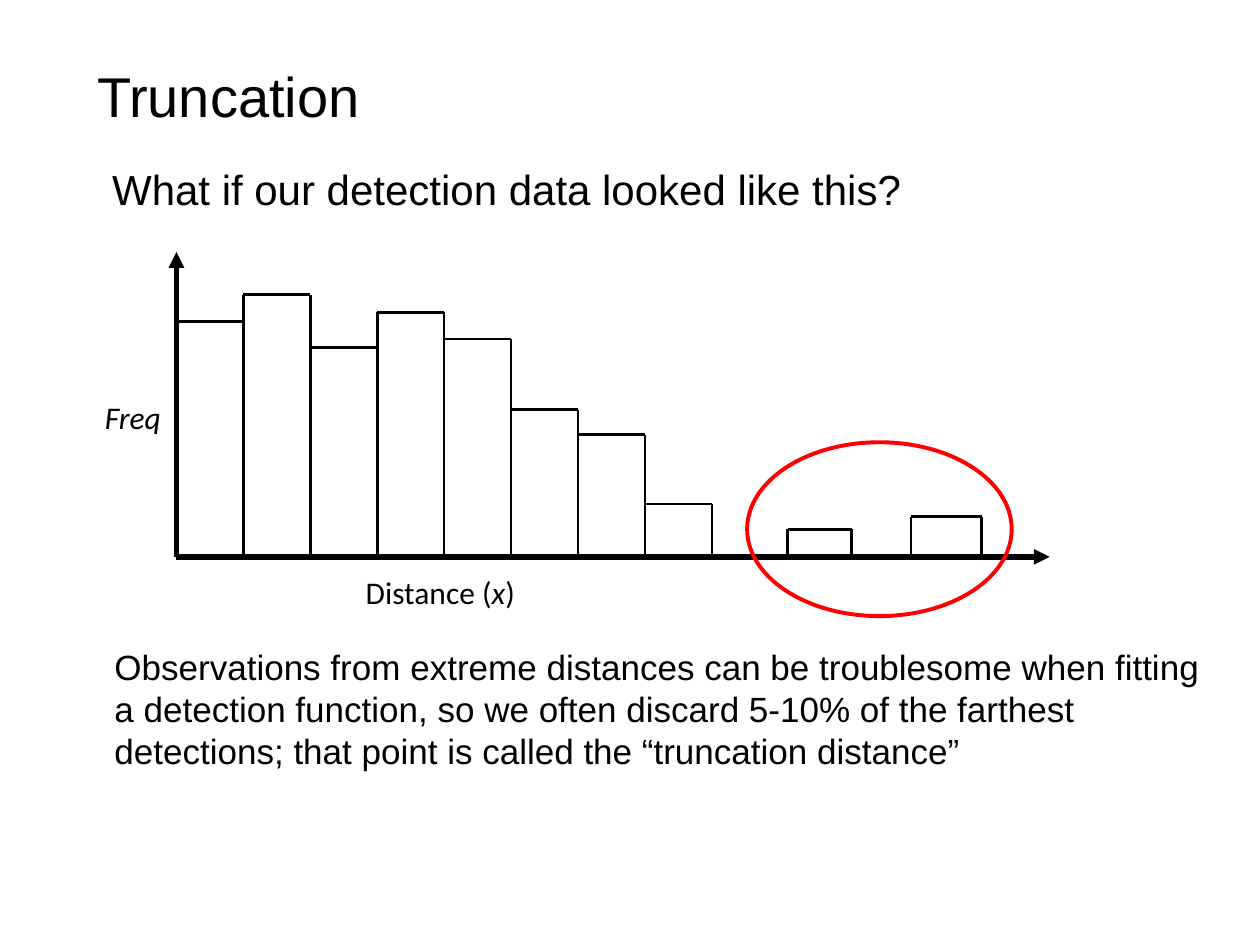
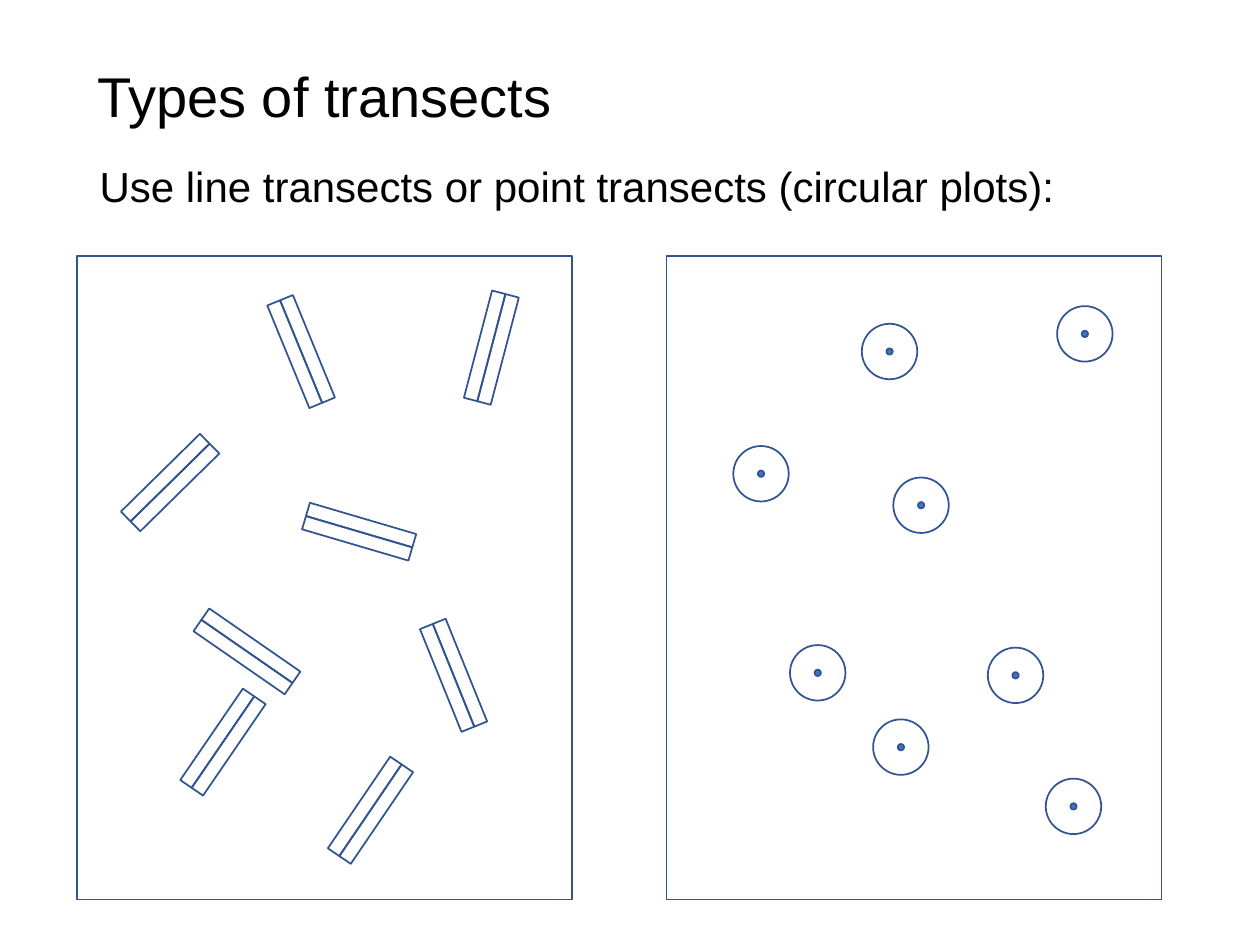
from math import cos, radians, sin

from pptx import Presentation
from pptx.dml.color import RGBColor
from pptx.enum.shapes import MSO_CONNECTOR as Connector, MSO_SHAPE as Preset
from pptx.enum.text import MSO_ANCHOR as Anchor, MSO_AUTO_SIZE as AutoSize, PP_ALIGN as Align
from pptx.oxml.ns import qn
from pptx.util import Emu, Pt
from lxml.etree import SubElement

EMU_PER_PX = 9144
BLACK, RED, OUTLINE, DOT = "000000", "FF0000", "325491", "4472C4"
TITLE_BOX = (67, 44, 869, 64)

TRUNCATION = {
    "title": "Truncation",
    "lead": "What if our detection data looked like this?",
    "lead_box": (79, 125, 865, 50),
    "note": "Observations from extreme distances can be troublesome when fitting "
            "a detection function, so we often discard 5-10% of the farthest "
            "detections; that point is called the “truncation distance”",
    "note_box": (81, 507, 885, 111),
}
FREQ_LABEL = [("Freq", True)]
DISTANCE_LABEL = [("Distance (", False), ("x", True), (")", False)]
ORIGIN_X, BASELINE, AXIS_TOP, AXIS_RIGHT = 140, 442, 200, 833
BAR_SPAN = 425
BAR_TOPS = [255, 234, 276, 248, 269, 325, 345, 400]
OUTLIERS = [(625, 676, 420), (723, 779, 410)]
OUTLIER_RING = (593, 351, 210, 138)

TRANSECTS = {
    "title": "Types of transects",
    "lead": "Use line transects or point transects (circular plots):",
    "lead_box": (69, 122, 845, 50),
}
PANEL_LEFTS = [61, 529]
PANEL_TOP, PANEL_WIDTH, PANEL_HEIGHT = 203, 393, 511
STRIP_WIDTH, STRIP_LENGTH = 11, 88
LINE_TRANSECTS = [
    (135, 383, 45.5), (239, 279, 337.7), (285, 422, 106.4), (196, 517, 304.7),
    (177, 589, 34.4), (360, 536, 338), (294, 643, 214.2), (390, 276, 14.7),
]
PLOT_SIZE, DOT_SIZE = 44, 5
POINT_TRANSECTS = [
    (861, 265), (706, 279), (604, 376), (731, 401),
    (649, 534), (715, 593), (806, 536), (852, 640),
]


def px(length):
    return Emu(round(length * EMU_PER_PX))


def color(value):
    return RGBColor.from_string(value)


def write_text(shape, text, size, font="Arial", align=Align.LEFT, after=0,
               hanging=0, spacing=None):
    frame = shape.text_frame
    frame.word_wrap = True
    frame.auto_size = AutoSize.NONE
    frame.vertical_anchor = Anchor.TOP
    paragraph = frame.paragraphs[0]
    paragraph.alignment = align
    paragraph.space_before, paragraph.space_after = Pt(0), Pt(after)
    if spacing:
        paragraph.line_spacing = Pt(spacing)
    properties = paragraph._p.get_or_add_pPr()
    properties.set("marL", str(px(hanging)))
    properties.set("indent", str(-px(hanging)))
    SubElement(properties, qn("a:buNone"))
    for words, italic in [(text, False)] if isinstance(text, str) else text:
        run = paragraph.add_run()
        run.text = words
        run.font.name, run.font.size, run.font.italic = font, Pt(size), italic
        run.font.color.rgb = color(BLACK)


def place(shape, box):
    shape.left, shape.top, shape.width, shape.height = map(px, box)


def add_text(shapes, box, text, size, **formats):
    write_text(shapes.add_textbox(*map(px, box)), text, size, **formats)


def add_outline(shapes, preset, box, line=OUTLINE, weight=1, fill=None, rotation=0):
    shape = shapes.add_shape(preset, *map(px, box))
    shape.shadow.inherit = False
    shape.rotation = rotation
    shape.line.color.rgb = color(line)
    shape.line.width = Pt(weight)
    if fill:
        shape.fill.solid()
        shape.fill.fore_color.rgb = color(fill)
    else:
        shape.fill.background()


def add_line(shapes, start, end, weight=1.5, arrow=False):
    connector = shapes.add_connector(Connector.STRAIGHT, *map(px, start + end))
    connector.line.color.rgb = color(BLACK)
    connector.line.width = Pt(weight)
    if arrow:
        SubElement(connector.line._get_or_add_ln(), qn("a:tailEnd"), type="triangle")
    SubElement(connector._element.spPr, qn("a:effectLst"))


def add_slide(presentation, content, hanging=0):
    slide = presentation.slides.add_slide(presentation.slide_layouts[1])
    title, body = slide.placeholders
    place(title, TITLE_BOX)
    write_text(title, content["title"], 32, after=12)
    place(body, content["lead_box"])
    write_text(body, content["lead"], 24, after=12, hanging=hanging)
    return slide


def add_histogram(slide):
    shapes = slide.shapes.add_group_shape().shapes
    add_text(shapes, (68, 311, 75, 34), FREQ_LABEL, 18, font="Calibri", align=Align.CENTER)
    add_text(shapes, (163, 450, 373, 33), DISTANCE_LABEL, 18, font="Calibri",
             align=Align.CENTER)
    origin = (ORIGIN_X, BASELINE)
    for tip in [(AXIS_RIGHT, BASELINE), (ORIGIN_X, AXIS_TOP)]:
        add_line(shapes, origin, tip, weight=3, arrow=True)
    step = BAR_SPAN / len(BAR_TOPS)
    for index, top in enumerate(BAR_TOPS):
        left = ORIGIN_X + index * step
        right = left + step
        wall_top = min(BAR_TOPS[index:index + 2])
        add_line(shapes, (left, top), (right, top))
        add_line(shapes, (right, wall_top), (right, BASELINE))
    for left, right, top in OUTLIERS:
        add_line(shapes, (left, top), (right, top))
        for side in (left, right):
            add_line(shapes, (side, top), (side, BASELINE))


def add_line_transect(slide, center_x, center_y, angle):
    shapes = slide.shapes.add_group_shape().shapes
    for offset in (-STRIP_WIDTH / 2, STRIP_WIDTH / 2):
        left = center_x + offset * cos(radians(angle)) - STRIP_WIDTH / 2
        top = center_y + offset * sin(radians(angle)) - STRIP_LENGTH / 2
        add_outline(shapes, Preset.RECTANGLE, (left, top, STRIP_WIDTH, STRIP_LENGTH),
                    rotation=angle)


def add_point_transect(slide, center_x, center_y):
    shapes = slide.shapes.add_group_shape().shapes
    for size, fill in [(PLOT_SIZE, None), (DOT_SIZE, DOT)]:
        box = (center_x - size / 2, center_y - size / 2, size, size)
        add_outline(shapes, Preset.OVAL, box, fill=fill)


def build_truncation(presentation):
    slide = add_slide(presentation, TRUNCATION)
    add_histogram(slide)
    add_outline(slide.shapes, Preset.OVAL, OUTLIER_RING, line=RED, weight=2.25)
    add_text(slide.shapes, TRUNCATION["note_box"], TRUNCATION["note"], 20, spacing=24)


def build_transects(presentation):
    slide = add_slide(presentation, TRANSECTS, hanging=25)
    for left in PANEL_LEFTS:
        add_outline(slide.shapes, Preset.RECTANGLE,
                    (left, PANEL_TOP, PANEL_WIDTH, PANEL_HEIGHT))
    for transect in LINE_TRANSECTS:
        add_line_transect(slide, *transect)
    for center in POINT_TRANSECTS:
        add_point_transect(slide, *center)


def main():
    presentation = Presentation()
    presentation.slide_width, presentation.slide_height = px(1000), px(750)
    build_truncation(presentation)
    build_transects(presentation)
    presentation.save("out.pptx")


if __name__ == "__main__":
    main()
